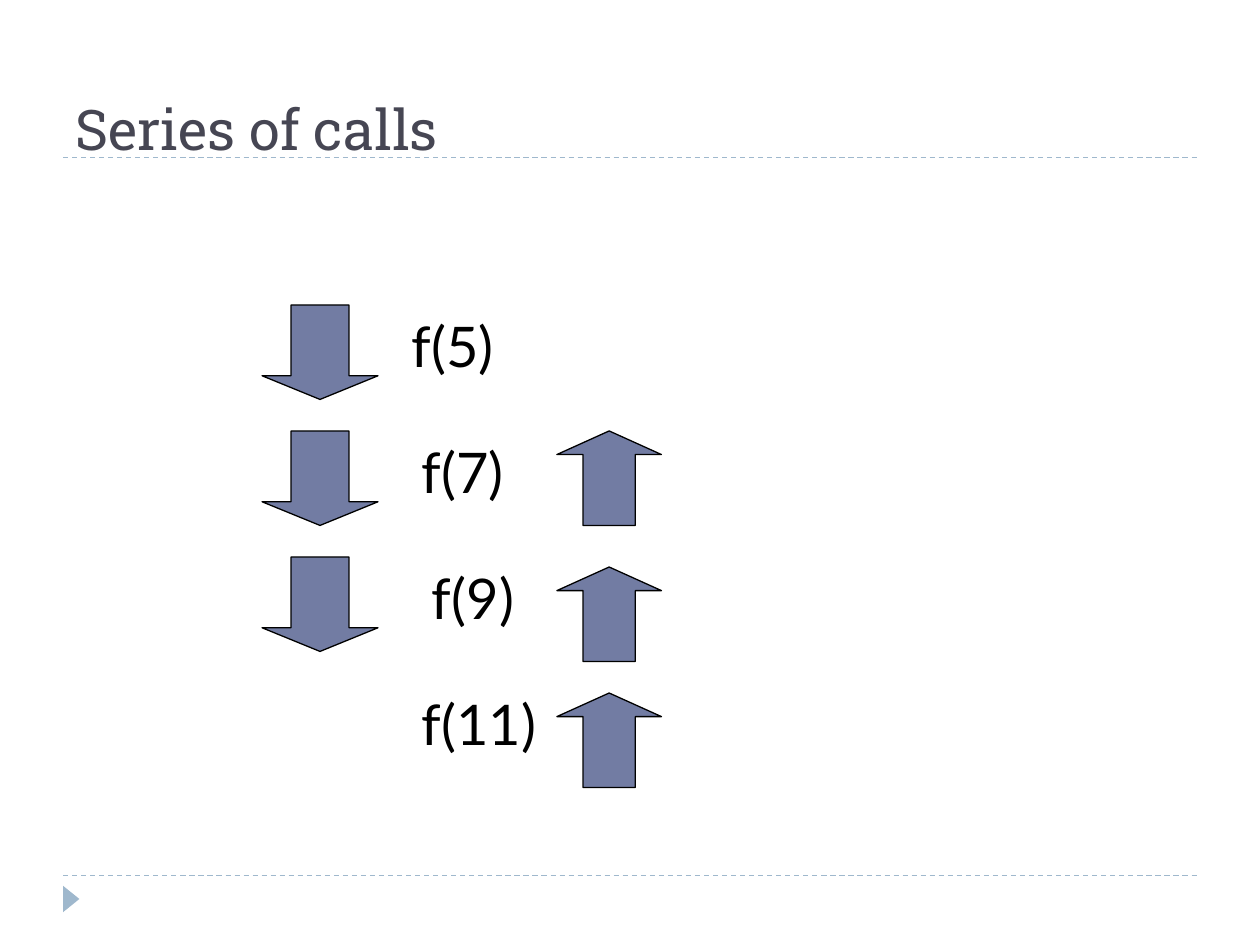
from dataclasses import dataclass

from lxml import etree
from pptx import Presentation
from pptx import util as u
from pptx.dml.color import RGBColor
from pptx.enum import dml, shapes, text
from pptx.oxml import ns

Inches, Pt = u.Inches, u.Pt


@dataclass(frozen=True)
class Theme:
    """Colours, fonts and sizes of the slide."""
    title: RGBColor = RGBColor(0x46, 0x46, 0x53)
    ink: RGBColor = RGBColor(0, 0, 0)
    arrow: RGBColor = RGBColor(0x72, 0x7C, 0xA3)
    accent: RGBColor = RGBColor(0x9F, 0xB8, 0xCD)
    head_font: str = "Roboto Slab"
    body_font: str = "Lato"
    size: int = 32
    line: float = 0.75


THEME = Theme()


def add_text(tf, words, font, color):
    """Write one left-aligned run into a text frame."""
    tf.word_wrap = True
    p = tf.paragraphs[0]
    p.alignment = text.PP_ALIGN.LEFT
    r = p.add_run()
    r.text = words
    r.font.name, r.font.size, r.font.color.rgb = font, Pt(THEME.size), color


def add_filled(s, kind, box, fill):
    """Add a flat filled shape."""
    sp = s.shapes.add_shape(kind, *map(Inches, box))
    sp.shadow.inherit = False
    sp.fill.solid()
    sp.fill.fore_color.rgb = fill
    return sp


def add_rule(s, left, top, width):
    """Draw a dashed horizontal rule."""
    sp = s.shapes.add_connector(
        shapes.MSO_CONNECTOR.STRAIGHT,
        Inches(left), Inches(top), Inches(left + width), Inches(top))
    sp.line.color.rgb = THEME.accent
    sp.line.width = Pt(THEME.line)
    sp.line.dash_style = dml.MSO_LINE.DASH
    etree.SubElement(sp.element.spPr, ns.qn("a:effectLst"))


def add_frame(s, left, top, width, height):
    """Draw the top and bottom rules and the footer marker."""
    for y in (top, top + height):
        add_rule(s, left, y, width)
    sp = add_filled(s, shapes.MSO_SHAPE.ISOSCELES_TRIANGLE,
                    (left - 0.04, top + height + 0.12, 0.21, 0.13), THEME.accent)
    sp.rotation = 90
    sp.line.fill.background()


def add_title(s, words, left, top, width, height):
    """Place and format the title placeholder."""
    sp = s.shapes.title
    sp.left, sp.top, sp.width, sp.height = map(Inches, (left, top, width, height))
    tf = sp.text_frame
    tf.auto_size = text.MSO_AUTO_SIZE.NONE
    tf.vertical_anchor = text.MSO_ANCHOR.BOTTOM
    add_text(tf, words, THEME.head_font, THEME.title)


def add_arrows(s, kind, left, tops, width, height):
    """Draw a column of equal block arrows."""
    for top in tops:
        sp = add_filled(s, kind, (left, top, width, height), THEME.arrow)
        sp.adjustments[0], sp.adjustments[1] = 0.5, 0.25
        sp.line.color.rgb = THEME.ink
        sp.line.width = Pt(THEME.line)


def add_calls(s, left, top, step):
    """Lay out the calls between their down and up arrows."""
    add_arrows(s, shapes.MSO_SHAPE.DOWN_ARROW, left,
               [top + i * step for i in range(3)], 0.92, 0.75)
    calls = (("f(5)", 1.09, 1.42), ("f(7)", 1.17, 1.42),
             ("f(9)", 1.25, 1.25), ("f(11)", 1.17, 1.42))
    for i, (words, dx, width) in enumerate(calls):
        box = (left + dx, top + i * step, width, 0.63)
        sp = s.shapes.add_textbox(*map(Inches, box))
        add_text(sp.text_frame, words, THEME.body_font, THEME.ink)
        sp.text_frame.auto_size = text.MSO_AUTO_SIZE.SHAPE_TO_FIT_TEXT
    add_arrows(s, shapes.MSO_SHAPE.UP_ARROW, left + 2.34,
               [top + dy for dy in (step, 2 * step + 0.08, 3 * step + 0.08)],
               0.83, 0.75)


def main():
    """Build and save the slide."""
    prs = Presentation()
    prs.slide_width, prs.slide_height = Inches(10), Inches(7.5)
    s = prs.slides.add_slide(prs.slide_layouts[5])
    add_frame(s, 0.5, 1.25, 9, 5.7)
    add_title(s, "Series of calls", 0.5, 0.08, 8.67, 1.25)
    add_calls(s, 2.08, 2.42, 1)
    prs.save("out.pptx")


if __name__ == "__main__":
    main()
